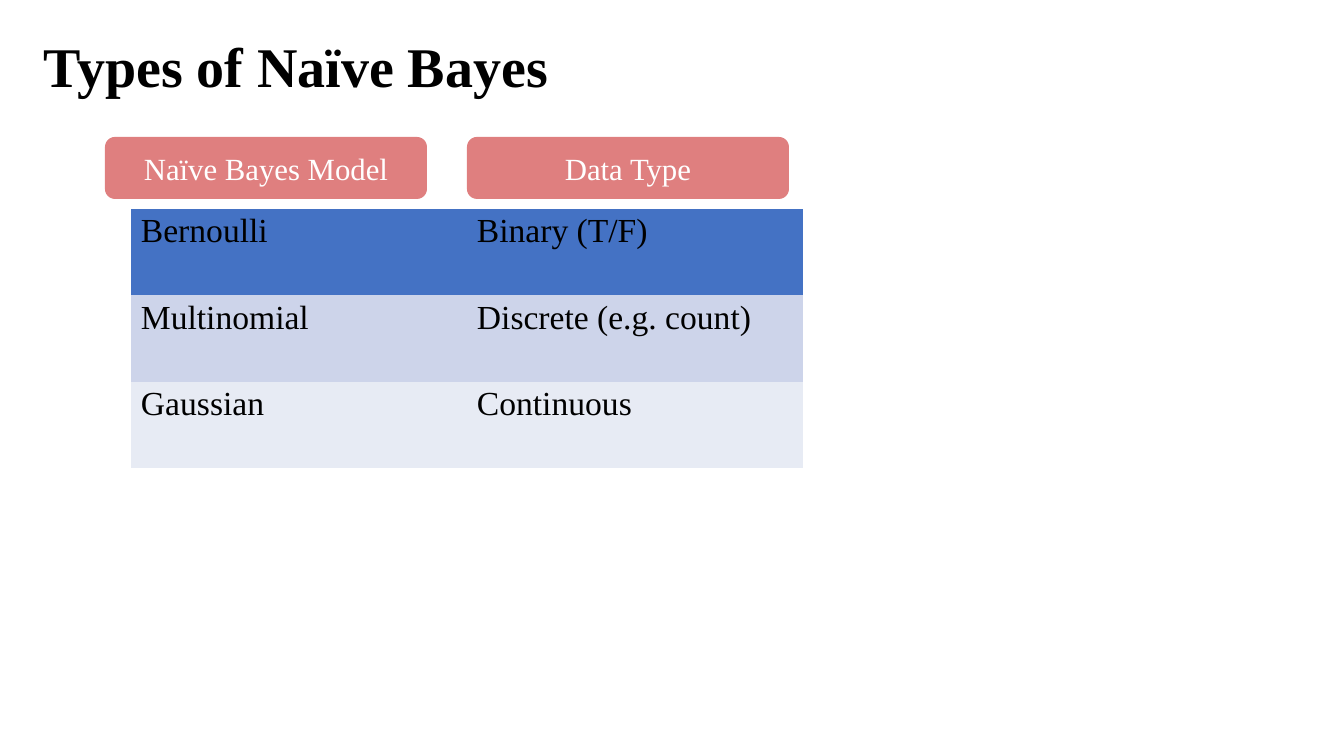
from lxml import etree
from pptx import Presentation
from pptx.dml.color import RGBColor
from pptx.enum.shapes import MSO_SHAPE
from pptx.enum.text import MSO_ANCHOR, PP_ALIGN
from pptx.oxml.ns import qn
from pptx.util import Emu, Pt

ROUNDED = MSO_SHAPE.ROUNDED_RECTANGLE
CENTER, LEFT = PP_ALIGN.CENTER, PP_ALIGN.LEFT
TOP, MIDDLE = MSO_ANCHOR.TOP, MSO_ANCHOR.MIDDLE

FONT = "Times New Roman"
BLACK, WHITE, RED = "000000", "FFFFFF", "C00000"
ROW_FILLS = ["4472C4", "CDD4EA", "E7EBF4"]
HEADINGS = ["Naïve Bayes Model", "Data Type"]
MODELS = [
    ("Bernoulli", "Binary (T/F)"),
    ("Multinomial", "Discrete (e.g. count)"),
    ("Gaussian", "Continuous"),
]


def px(length):
    return Emu(round(length * 914400 / 100.8))


def paint(fill, color):
    fill.solid()
    fill.fore_color.rgb = RGBColor.from_string(color)


def write(frame, text, size, color, align=LEFT, bold=False):
    paragraph = frame.paragraphs[0]
    paragraph.alignment = align
    run = paragraph.add_run()
    run.text = text
    run.font.name = FONT
    run.font.size = Pt(size)
    run.font.bold = bold
    run.font.color.rgb = RGBColor.from_string(color)


def set_margins(holder, left, top):
    holder.margin_left, holder.margin_top = px(left), px(top)
    holder.margin_right = holder.margin_bottom = 0


def add_title(slide, left, top, width, height):
    title = slide.shapes.add_textbox(px(left), px(top), px(width), px(height))
    frame = title.text_frame
    frame.word_wrap = False
    set_margins(frame, 1, 2)
    write(frame, "Types of Naïve Bayes", 40, BLACK, bold=True)


def add_headings(slide, left, top, width, height, gap=40, radius=10):
    heading_width = (width - gap) // 2
    for column, text in enumerate(HEADINGS):
        heading = slide.shapes.add_shape(
            ROUNDED, px(left + column * (heading_width + gap)), px(top),
            px(heading_width), px(height))
        heading.adjustments[0] = radius / height
        heading.shadow.inherit = False
        heading.line.fill.background()
        paint(heading.fill, RED)
        red = heading.fill._xPr.find(".//" + qn("a:srgbClr"))
        etree.SubElement(red, qn("a:alpha"), val="50000")
        frame = heading.text_frame
        frame.vertical_anchor = MIDDLE
        set_margins(frame, 0, 0)
        write(frame, text, 22, WHITE, CENTER)


def add_models(slide, left, top, width, height):
    table = slide.shapes.add_table(
        len(MODELS), len(HEADINGS),
        px(left), px(top), px(width), px(height)).table
    table.first_row = table.horz_banding = False
    # "No Style, No Grid"
    table._tbl.tblPr.find(qn("a:tableStyleId")).text = (
        "{2D5ABB26-0587-4C30-8999-92F81FD0307C}")
    for row, (entries, color) in enumerate(zip(MODELS, ROW_FILLS)):
        for column, text in enumerate(entries):
            cell = table.cell(row, column)
            paint(cell.fill, color)
            cell.vertical_anchor = TOP
            set_margins(cell, 10, 4)
            write(cell.text_frame, text, 24, BLACK)


def main():
    deck = Presentation()
    deck.slide_width, deck.slide_height = px(1344), px(756)
    slide = deck.slides.add_slide(deck.slide_layouts[6])
    add_headings(slide, 105, 137, 684, 62)
    add_models(slide, 131, 209, 672, 259)
    add_title(slide, 43, 30, 511, 70)
    deck.save("out.pptx")


if __name__ == "__main__":
    main()
